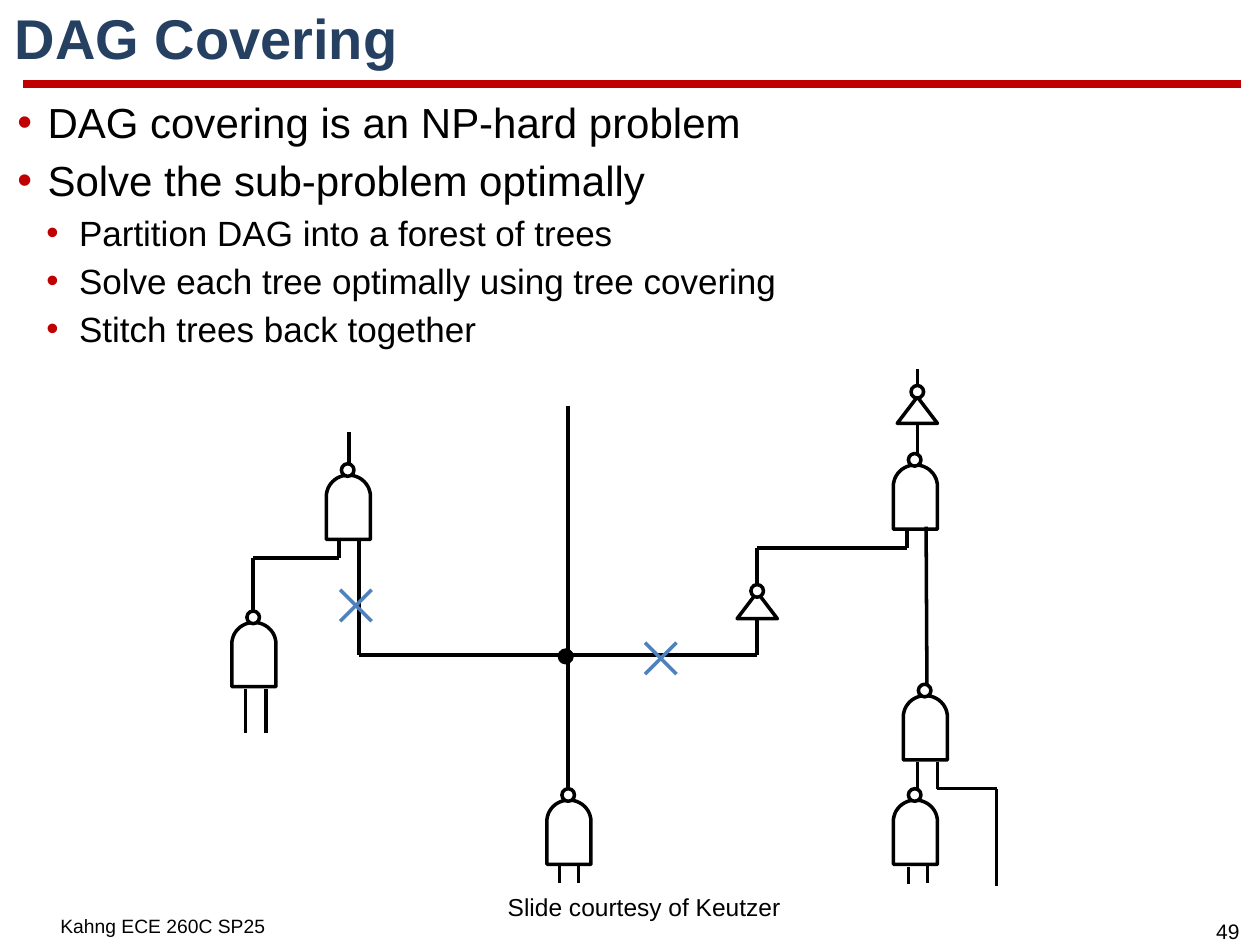
from math import cos, pi, sin

from lxml import etree
from pptx import Presentation
from pptx.dml.color import RGBColor
from pptx.enum.shapes import MSO_CONNECTOR, MSO_SHAPE
from pptx.enum.text import MSO_ANCHOR, PP_ALIGN
from pptx.oxml.ns import qn
from pptx.util import Pt

STRAIGHT = MSO_CONNECTOR.STRAIGHT
OVAL, TRIANGLE = MSO_SHAPE.OVAL, MSO_SHAPE.ISOSCELES_TRIANGLE
LEFT, CENTER = PP_ALIGN.LEFT, PP_ALIGN.CENTER
TOP, MIDDLE = MSO_ANCHOR.TOP, MSO_ANCHOR.MIDDLE

BLACK, WHITE, NAVY, RED, BLUE = "000000", "FFFFFF", "254061", "C00000", "4F81BD"

BULLETS = [
    (0, "DAG covering is an NP-hard problem"),
    (0, "Solve the sub-problem optimally"),
    (1, "Partition DAG into a forest of trees"),
    (1, "Solve each tree optimally using tree covering"),
    (1, "Stitch trees back together"),
]
# level: (font size, left margin, hanging indent, space before)
LEVELS = {0: (24, 18.7, 17.3, 8.4), 1: (20, 36.7, 18.7, 7.2)}

# NAND gates: left edge, top of the output bubble
GATES = [(132.5, 349.2), (186.5, 265), (312.5, 450.7),
         (510.5, 450.7), (516.2, 391), (510.5, 259.2)]
# Inverters: apex x, apex y, top of the output bubble
INVERTERS = [(432.7, 338.4, 334.1), (524.2, 226.8, 220.3)]
# Each wire is a chain of corner points
WIRES = [
    [(199.4, 247), (199.4, 265)],
    [(193.7, 308.2), (193.7, 319), (144.7, 319), (144.7, 349.2)],
    [(205.2, 308.2), (205.2, 374.4), (324.7, 374.4), (432.7, 374.4), (432.7, 353.5)],
    [(324.7, 231.8), (324.7, 374.4), (324.7, 450.7)],
    [(140.4, 393.8), (140.4, 419)],
    [(151.9, 393.8), (151.9, 419)],
    [(319.7, 494.6), (319.7, 504.7)],
    [(330.5, 494.6), (330.5, 504.7)],
    [(519.1, 495.4), (519.1, 505.4)],
    [(529.9, 494.6), (529.9, 504.7)],
    [(535.7, 435.6), (535.7, 450.7), (569.5, 450.7), (569.5, 506.2)],
    [(524.2, 435.6), (524.2, 450.7)],
    [(518.4, 303.1), (518.4, 313.2), (432.7, 313.2), (432.7, 334.1)],
    [(529.2, 301), (529.7, 391)],
    [(524.2, 241.9), (524.2, 262.8)],
    [(524.2, 211), (524.2, 220.3)],
]
JUNCTION = (319.7, 371.5)
CUTS = [(377.6, 376.2), (203.4, 346)]

BUBBLE = 7.2
GATE_W, ARCH_TOP, ARCH_BASE, GATE_BOTTOM = 25.2, 6.5, 18.7, 43.2
INV_W, INV_H = 23, 15.1
CUT_HALF = 9
ARC_STEPS = 24


def rgb(value):
    return RGBColor.from_string(value)


def add_line(start, end, color=BLACK, width=2):
    c = s.shapes.add_connector(STRAIGHT, *(Pt(v) for v in (*start, *end)))
    c.line.color.rgb = rgb(color)
    c.line.width = Pt(width)
    etree.SubElement(c._element.spPr, qn("a:effectLst"))


def style(sp, fill=None):
    sp.shadow.inherit = False
    if fill:
        sp.fill.solid()
        sp.fill.fore_color.rgb = rgb(fill)
    else:
        sp.fill.background()
    sp.line.color.rgb = rgb(BLACK)
    sp.line.width = Pt(2)


def add_shape(kind, x, y, w, h, fill=None):
    style(s.shapes.add_shape(kind, Pt(x), Pt(y), Pt(w), Pt(h)), fill)


def add_gate(x, y):
    """NAND gate pointing up: rounded body with an output bubble on top."""
    radius, mid = GATE_W / 2, x + GATE_W / 2
    base, rise = y + ARCH_BASE, ARCH_BASE - ARCH_TOP
    angles = [pi * (1 - i / ARC_STEPS) for i in range(ARC_STEPS + 1)]
    arch = [(mid + radius * cos(a), base - rise * sin(a)) for a in angles]
    outline = arch + [(x + GATE_W, y + GATE_BOTTOM)]
    fb = s.shapes.build_freeform(Pt(x), Pt(y + GATE_BOTTOM))
    fb.add_line_segments([(Pt(px), Pt(py)) for px, py in outline], close=True)
    style(fb.convert_to_shape())
    add_shape(OVAL, mid - BUBBLE / 2 - 0.4, y, BUBBLE, BUBBLE, WHITE)


def add_bullet(p, indent, hanging):
    pPr = p._p.get_or_add_pPr()
    pPr.set("marL", str(Pt(indent)))
    pPr.set("indent", str(-Pt(hanging)))
    color = etree.SubElement(pPr, qn("a:buClr"))
    etree.SubElement(color, qn("a:srgbClr"), val=RED)
    etree.SubElement(pPr, qn("a:buFont"), typeface="Arial")
    etree.SubElement(pPr, qn("a:buChar"), char="•")


def write(p, text, size, color=BLACK, bold=False, align=LEFT, spacing=None):
    p.alignment = align
    if spacing:
        p.line_spacing = spacing
    r = p.add_run()
    r.text = text
    r.font.name, r.font.size, r.font.bold = "Arial", Pt(size), bold
    r.font.color.rgb = rgb(color)


def add_box(x, y, w, h, anchor=TOP, wrap=True, inset=(7.2, 3.6)):
    tf = s.shapes.add_textbox(Pt(x), Pt(y), Pt(w), Pt(h)).text_frame
    tf.word_wrap, tf.vertical_anchor = wrap, anchor
    tf.margin_left = tf.margin_right = Pt(inset[0])
    tf.margin_top = tf.margin_bottom = Pt(inset[1])
    return tf


def add_text(box, text, size, anchor=TOP, wrap=True, inset=(7.2, 3.6), **fmt):
    tf = add_box(*box, anchor=anchor, wrap=wrap, inset=inset)
    write(tf.paragraphs[0], text, size, **fmt)


prs = Presentation()
prs.slide_width, prs.slide_height = Pt(720), Pt(540)
s = prs.slides.add_slide(prs.slide_layouts[6])

add_line((13, 48.2), (709.2, 48.2), RED, 4.5)
add_text((684, 521.3, 35.3, 21.6), "49", 12, align=CENTER)

tf = add_box(1.4, 56.2, 707.8, 447.8)
for i, (level, text) in enumerate(BULLETS):
    size, indent, hanging, before = LEVELS[level]
    p = tf.add_paragraph() if i else tf.paragraphs[0]
    p.level = level
    p.space_before = Pt(before)
    write(p, text, size, spacing=0.85)
    add_bullet(p, indent, hanging)

add_text((1.4, 5.8, 715, 35.3), "DAG Covering", 32, color=NAVY, bold=True,
         anchor=MIDDLE, spacing=0.9)

for wire in WIRES:
    for start, end in zip(wire, wire[1:]):
        add_line(start, end)
for gate in GATES:
    add_gate(*gate)
for x, y, bubble_top in INVERTERS:
    add_shape(TRIANGLE, x - INV_W / 2, y, INV_W, INV_H)
    add_shape(OVAL, x - BUBBLE / 2, bubble_top, BUBBLE, BUBBLE, WHITE)
add_shape(OVAL, *JUNCTION, BUBBLE, BUBBLE, BLACK)
for x, y in CUTS:
    for dy in (CUT_HALF, -CUT_HALF):
        add_line((x - CUT_HALF, y - dy), (x + CUT_HALF, y + dy), BLUE)

add_text((285.1, 507.6, 167, 20.9), "Slide courtesy of Keutzer", 14,
         wrap=False, inset=(5, 2.2))
add_text((27.4, 519.1, 134.6, 19.4), "Kahng ECE 260C SP25", 11)

prs.save("out.pptx")
